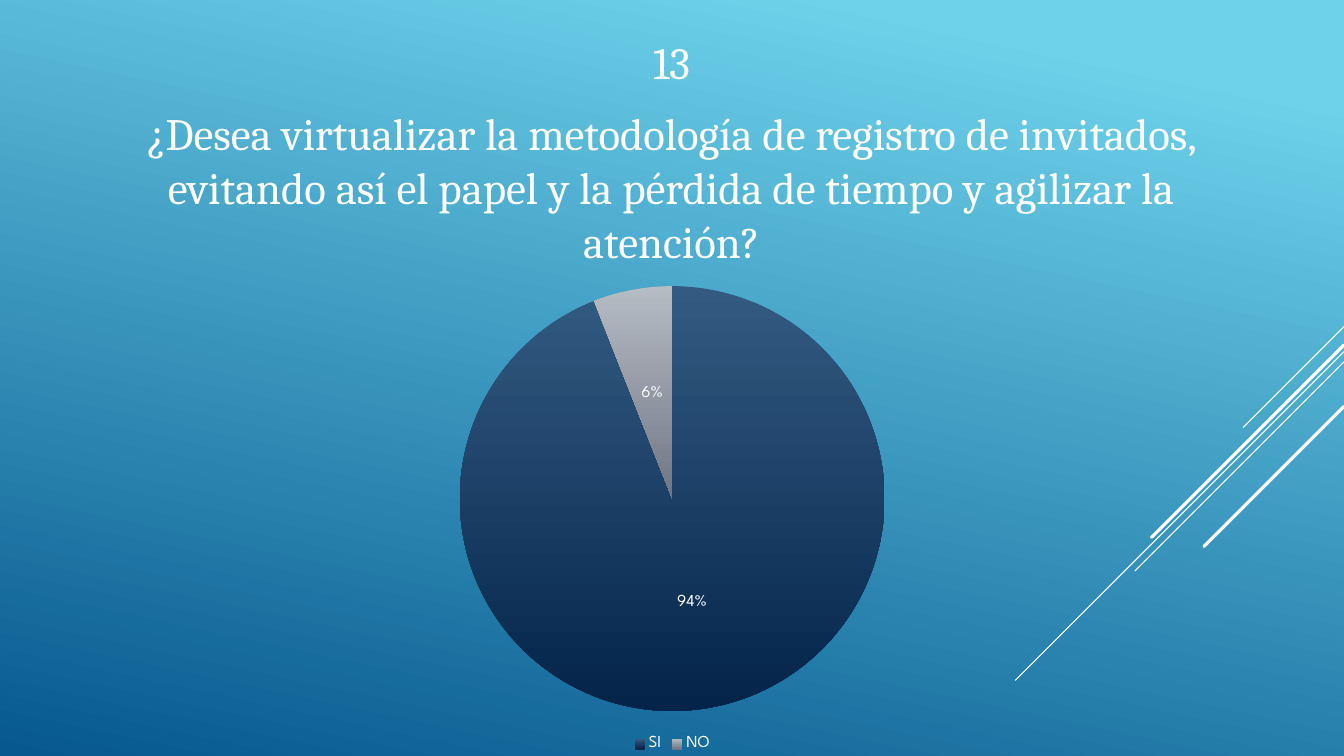
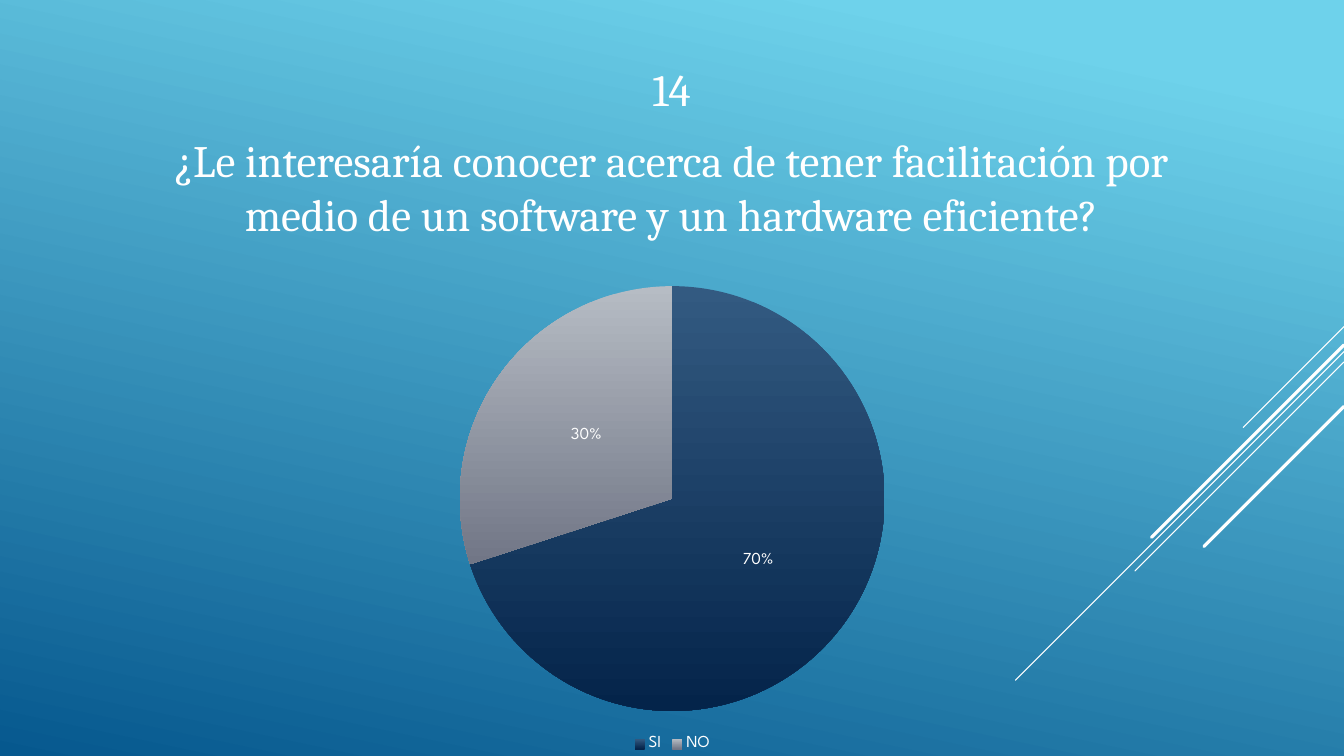
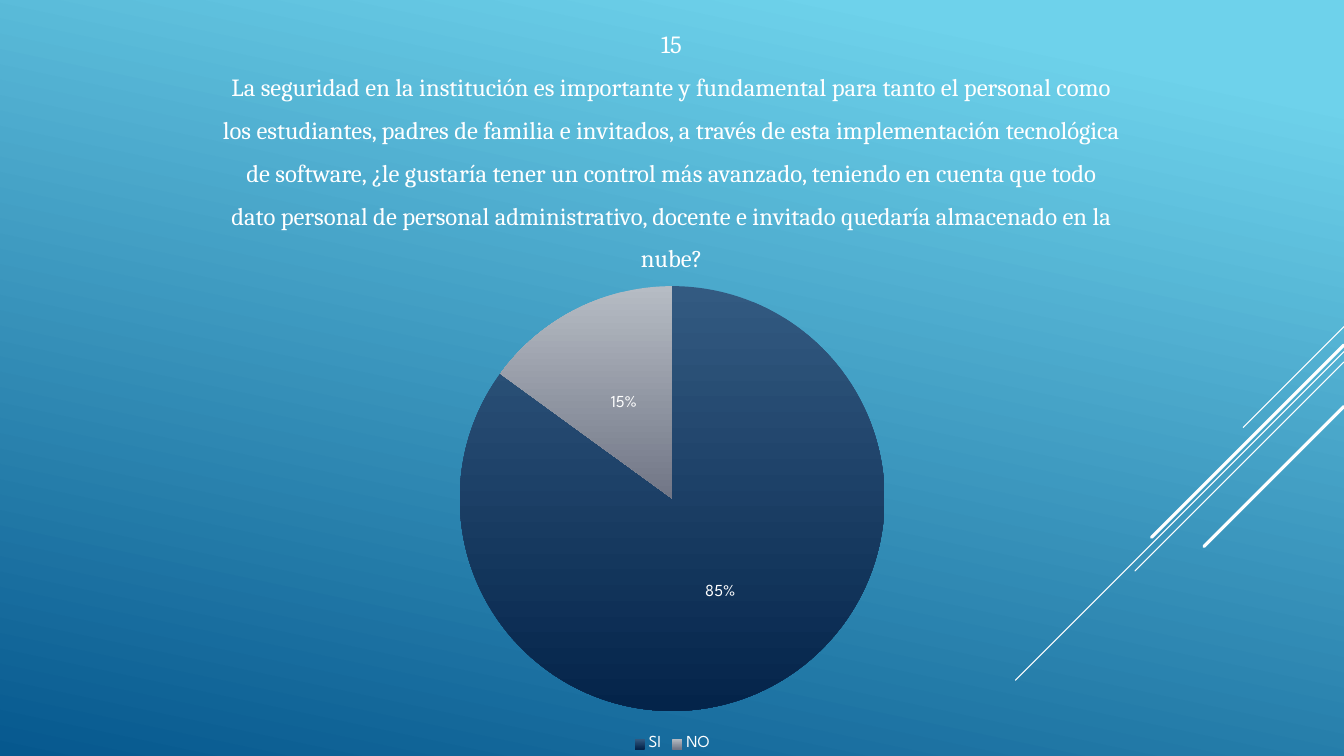
from dataclasses import dataclass

from lxml import etree
from pptx import Presentation
from pptx.chart.data import CategoryChartData
from pptx.dml.color import RGBColor
from pptx.enum import chart as ch, shapes, text
from pptx.oxml import ns
from pptx.util import Cm, Pt


# Colours, fonts and type sizes
@dataclass(frozen=True)
class Theme:
    ink: str = "FFFFFF"
    back: tuple = ((0.1, "6ED2EB"), (1, "06588E"))
    slices: tuple = (((0, "335A81"), (1, "04244A")),
                     ((0, "B6BCC4"), (1, "717686")))
    serif: str = "Cambria"
    sans: str = "League Spartan"
    large: float = 32
    small: float = 17.6
    label: float = 12
    base: float = 10


def put(obj, **vals):
    for key, val in vals.items():
        setattr(obj, key, val)


def box(*sides):
    return dict(zip(("left", "top", "width", "height"), map(Cm, sides)))


class Deck:
    WIDE, HIGH = 33.87, 19.05

    def __init__(self, theme):
        self.theme = theme
        self.prs = Presentation()
        put(self.prs, slide_width=Cm(self.WIDE), slide_height=Cm(self.HIGH))
        self.plan = self.prs.slide_layouts[1]
        self.slide = None

    # Shared parts
    def frame(self, rays):
        master = self.prs.slide_master
        self.blend(master.background.fill, self.theme.back, 102)
        put(self.plan.placeholders[1], **box(2.74, 0.74, 28.37, 6.12))
        for top, reach, weight in rays:
            ray = self.ray(top, reach, weight)
            master.shapes.element.append(ray.element)

    def ray(self, top, reach, weight):
        """Draw a diagonal that falls to the left from the right edge."""
        ray = self.slide.shapes.add_connector(
            shapes.MSO_CONNECTOR.STRAIGHT, Cm(self.WIDE), Cm(top),
            Cm(self.WIDE - reach), Cm(top + reach))
        ray.line.color.rgb = RGBColor.from_string(self.theme.ink)
        ray.line.width = Pt(weight)
        props = ray.element.spPr
        props.find(ns.qn("a:ln")).set("cap", "rnd")
        etree.SubElement(props, ns.qn("a:effectLst"))
        return ray

    # Styles
    def blend(self, fill, stops, angle):
        fill.gradient()
        fill.gradient_angle = 360 - angle
        for stop, (place, tint) in zip(fill.gradient_stops, stops):
            stop.position = place
            stop.color.rgb = RGBColor.from_string(tint)

    def type(self, font, name, size):
        put(font, name=name, size=Pt(size))
        font.color.rgb = RGBColor.from_string(self.theme.ink)

    # Slide elements
    def page(self):
        self.slide = self.prs.slides.add_slide(self.plan)
        title = self.slide.shapes.title.element
        title.getparent().remove(title)

    def ask(self, lines, size):
        frame = self.slide.placeholders[1].text_frame
        put(frame, text="\n".join(lines), word_wrap=True,
            auto_size=text.MSO_AUTO_SIZE.NONE,
            vertical_anchor=text.MSO_ANCHOR.MIDDLE)
        for para in frame.paragraphs:
            put(para, alignment=text.PP_ALIGN.CENTER, space_after=Pt(6))
            props = para._p.get_or_add_pPr()
            for key in ("marL", "indent"):
                props.set(key, "0")
            etree.SubElement(props, ns.qn("a:buNone"))
            self.type(para.runs[0].font, self.theme.serif, size)

    def pie(self, votes):
        look = self.theme
        data = CategoryChartData()
        data.categories = list(votes)
        data.add_series("Series 1", votes.values())
        area = box(8, 6.86, 17.88, 12.19)
        chart = self.slide.shapes.add_chart(
            ch.XL_CHART_TYPE.PIE, *area.values(), data).chart
        put(chart, has_title=False, has_legend=True)
        self.type(chart.font, look.sans, look.base)
        put(chart.legend, position=ch.XL_LEGEND_POSITION.BOTTOM,
            include_in_layout=False)
        self.type(chart.legend.font, look.sans, look.label)

        plot = chart.plots[0]
        put(plot, vary_by_categories=True, has_data_labels=True)
        put(plot.data_labels, show_value=False, show_percentage=True,
            number_format="0%", number_format_is_linked=False,
            position=ch.XL_LABEL_POSITION.CENTER)
        self.type(plot.data_labels.font, look.sans, look.label)
        for i, stops in enumerate(look.slices):
            part = plot.series[0].points[i].format
            self.blend(part.fill, stops, 90)
            part.line.fill.background()


# Content
theme = Theme()
POLLS = (
    (("13", "¿Desea virtualizar la metodología de registro de invitados, "
      "evitando así el papel y la pérdida de tiempo y agilizar la atención?"),
     theme.large, 94),
    (("14", "¿Le interesaría conocer acerca de tener facilitación por medio "
      "de un software y un hardware eficiente?"),
     theme.large, 70),
    (("15",
      "La seguridad en la institución es importante y fundamental para tanto "
      "el personal como",
      "los estudiantes, padres de familia e invitados, a través de esta "
      "implementación tecnológica",
      "de software, ¿le gustaría tener un control más avanzado, teniendo en "
      "cuenta que todo",
      "dato personal de personal administrativo, docente e invitado quedaría "
      "almacenado en la",
      "nube?"),
     theme.small, 85),
)
# Top, reach and weight of each diagonal
RAYS = ((8.23, 2.54, 0.75), (8.86, 8.28, 0.75), (9.12, 5.27, 0.75),
        (8.69, 4.85, 2.25), (10.24, 3.53, 2.25))

# Build
deck = Deck(theme)
for lines, size, yes in POLLS:
    deck.page()
    deck.ask(lines, size)
    deck.pie({"SI": yes, "NO": 100 - yes})
deck.frame(RAYS)
deck.prs.save("out.pptx")
